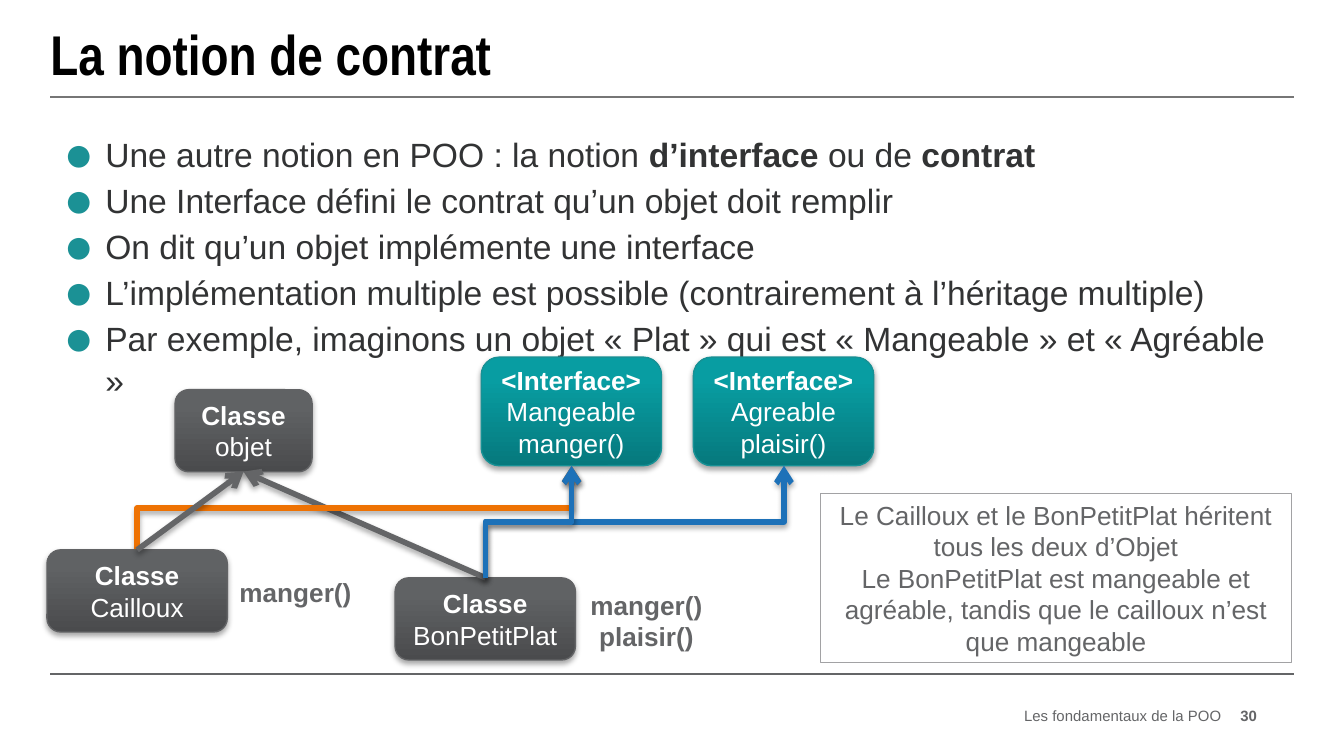
from pptx import Presentation
from pptx.dml.color import RGBColor
from pptx.enum.shapes import MSO_CONNECTOR, MSO_SHAPE
from pptx.enum.text import MSO_ANCHOR, PP_ALIGN
from pptx.oxml import parse_xml
from pptx.oxml.ns import nsdecls
from pptx.util import Pt

STRAIGHT, ELBOW = MSO_CONNECTOR.STRAIGHT, MSO_CONNECTOR.ELBOW
RECT, ROUNDED = MSO_SHAPE.RECTANGLE, MSO_SHAPE.ROUNDED_RECTANGLE
TOP, MIDDLE = MSO_ANCHOR.TOP, MSO_ANCHOR.MIDDLE
LEFT, CENTER, RIGHT = PP_ALIGN.LEFT, PP_ALIGN.CENTER, PP_ALIGN.RIGHT

COLORS = {
    "black": "000000", "white": "FFFFFF", "body": "323334",
    "gray": "646567", "rule": "767676", "frame": "A2A2A4",
    "bullet": "1B9195", "orange": "EE7203", "blue": "1D71B8",
    "class_dark": "4A4B4D", "class_light": "606264", "class_line": "626365",
    "interface_dark": "06797D", "interface_light": "089DA2", "interface_line": "179195",
}
BULLETS = [
    [("Une autre notion en POO : la notion ", False), ("d’interface", True),
     (" ou de ", False), ("contrat", True)],
    [("Une Interface défini le contrat qu’un objet doit remplir", False)],
    [("On dit qu’un objet implémente une interface", False)],
    [("L’implémentation multiple est possible (contrairement à l’héritage multiple)", False)],
    [("Par exemple, imaginons un objet « Plat » qui est « Mangeable » et « Agréable »", False)],
]


def rgb(name):
    return RGBColor.from_string(COLORS[name])


def add_xml(parent, tag, attrs="", inner=""):
    parent.append(parse_xml(f"<a:{tag} {nsdecls('a')} {attrs}>{inner}</a:{tag}>"))


def add_effect(shape, shadow):
    inner = ('<a:outerShdw blurRad="39370" dist="22860" dir="5400000" rotWithShape="0">'
             '<a:srgbClr val="000000"><a:alpha val="35000"/></a:srgbClr>'
             '</a:outerShdw>') if shadow else ""
    add_xml(shape._element.spPr, "effectLst", inner=inner)


def set_frame(tf, inset, anchor):
    tf.word_wrap = True
    tf.vertical_anchor = anchor
    tf.margin_left = tf.margin_right = tf.margin_top = tf.margin_bottom = Pt(inset)


def set_font(font, size, color, bold=False, name="Arial"):
    font.name, font.size, font.bold = name, Pt(size), bold
    font.color.rgb = rgb(color)


def write_lines(tf, lines, size, color, bold=False, align=CENTER, name="Arial"):
    for i, line in enumerate(lines):
        p = tf.paragraphs[0] if i == 0 else tf.add_paragraph()
        p.text, p.alignment = line, align
        set_font(p.font, size, color, bold, name)


def add_label(s, box, lines, size, color, **style):
    tf = s.shapes.add_textbox(*map(Pt, box)).text_frame
    set_frame(tf, 0, MIDDLE)
    write_lines(tf, lines, size, color, **style)


def add_bullets(s, box, items):
    tf = s.shapes.add_textbox(*map(Pt, box)).text_frame
    set_frame(tf, 3.6, TOP)
    tf.margin_left = tf.margin_right = Pt(7.2)
    for i, runs in enumerate(items):
        p = tf.paragraphs[0] if i == 0 else tf.add_paragraph()
        p.space_before, p.line_spacing = Pt(2), 1.05
        pPr = p._p.get_or_add_pPr()
        pPr.set("marL", str(Pt(22.3)))
        pPr.set("indent", str(-Pt(22.3)))
        add_xml(pPr, "buClr", inner=f'<a:srgbClr val="{COLORS["bullet"]}"/>')
        add_xml(pPr, "buSzPct", 'val="150000"')
        add_xml(pPr, "buFont", 'typeface="Arial"')
        add_xml(pPr, "buChar", 'char="●"')
        for text, bold in runs:
            r = p.add_run()
            r.text = text
            set_font(r.font, 18, "body", bold)


def add_node(s, kind, box, heading, *members):
    sp = s.shapes.add_shape(ROUNDED, *map(Pt, box))
    sp.fill.gradient()
    sp.fill.gradient_angle = 90
    dark, light = sp.fill.gradient_stops
    dark.color.rgb, dark.position = rgb(f"{kind}_dark"), 0
    light.color.rgb, light.position = rgb(f"{kind}_light"), 0.8
    sp.line.color.rgb, sp.line.width = rgb(f"{kind}_line"), Pt(0.75)
    add_effect(sp, True)
    set_frame(sp.text_frame, 7.2, MIDDLE)
    write_lines(sp.text_frame, (heading, *members), 14, "white")
    sp.text_frame.paragraphs[0].font.bold = True


def add_note(s, box, lines):
    sp = s.shapes.add_shape(RECT, *map(Pt, box))
    sp.shadow.inherit = False
    sp.fill.background()
    sp.line.color.rgb, sp.line.width = rgb("frame"), Pt(0.75)
    set_frame(sp.text_frame, 0, MIDDLE)
    write_lines(sp.text_frame, lines, 14, "gray")


def add_line(s, start, end, color, width=1, kind=STRAIGHT, arrow=False):
    c = s.shapes.add_connector(kind, *map(Pt, start + end))
    c.line.color.rgb, c.line.width = rgb(color), Pt(width)
    if arrow:
        add_xml(c.line._get_or_add_ln(), "tailEnd", 'type="arrow"')
    add_effect(c, arrow)
    return c


def add_arrow(s, start, end, color):
    add_line(s, start, end, color, 3, arrow=True)


def add_elbow_up(s, start, end, color):
    c = add_line(s, start, end, color, 3, ELBOW, arrow=True)
    (x1, y1), (x2, y2) = start, end
    run, rise = x2 - x1, y1 - y2
    c.left, c.top = Pt((x1 + x2 - rise) / 2), Pt((y1 + y2 - run) / 2)
    c.width, c.height = Pt(rise), Pt(run)
    xfrm = c._element.spPr.get_or_add_xfrm()
    xfrm.attrib.pop("flipV", None)
    xfrm.set("rot", "16200000")


def main():
    prs = Presentation()
    prs.slide_width, prs.slide_height = Pt(720), Pt(405)
    s = prs.slides.add_slide(prs.slide_layouts[6])

    for y, color in ((361, "gray"), (52, "rule")):
        add_line(s, (27, y), (693, y), color)
    add_label(s, (27, 6.5, 666, 44), ["La notion de contrat"], 30, "black",
              bold=True, align=LEFT, name="Arial Narrow")
    add_label(s, (496, 378, 158.5, 11), ["Les fondamentaux de la POO"], 8, "gray", align=RIGHT)
    add_label(s, (659, 378, 14.4, 11), ["30"], 8, "gray", bold=True, align=RIGHT)
    add_bullets(s, (27, 67, 666, 282), BULLETS)

    objet, cailloux, plat = (130.5, 252.7), (73.5, 294.6), (260.2, 309.6)
    mangeable, agreable = (306.2, 249.5), (420, 249.5)

    add_node(s, "class", (93.8, 208.8, 73.4, 44), "Classe", "objet")
    add_node(s, "interface", (257.8, 191.3, 96.6, 58.2), "<Interface>", "Mangeable", "manger()")
    add_node(s, "interface", (371.5, 191.3, 96.6, 58.2), "<Interface>", "Agreable", "plaisir()")
    add_node(s, "class", (211.7, 309.6, 96.6, 44), "Classe", "BonPetitPlat")
    add_arrow(s, plat, objet, "gray")
    add_elbow_up(s, cailloux, mangeable, "orange")
    add_elbow_up(s, plat, agreable, "blue")
    add_node(s, "class", (25.2, 294.6, 96.6, 44), "Classe", "Cailloux")
    add_arrow(s, cailloux, objet, "gray")
    add_elbow_up(s, plat, mangeable, "blue")

    add_note(s, (439.5, 264.3, 252.5, 90.6), [
        "Le Cailloux et le BonPetitPlat héritent tous les deux d’Objet",
        "Le BonPetitPlat est mangeable et agréable, tandis que le cailloux n’est que mangeable",
    ])
    add_label(s, (293, 315, 106.6, 34.6), ["manger()", "plaisir()"], 14, "gray", bold=True)
    add_label(s, (105, 299.8, 106.6, 34.6), ["manger()"], 14, "gray", bold=True)
    prs.save("out.pptx")


if __name__ == "__main__":
    main()
